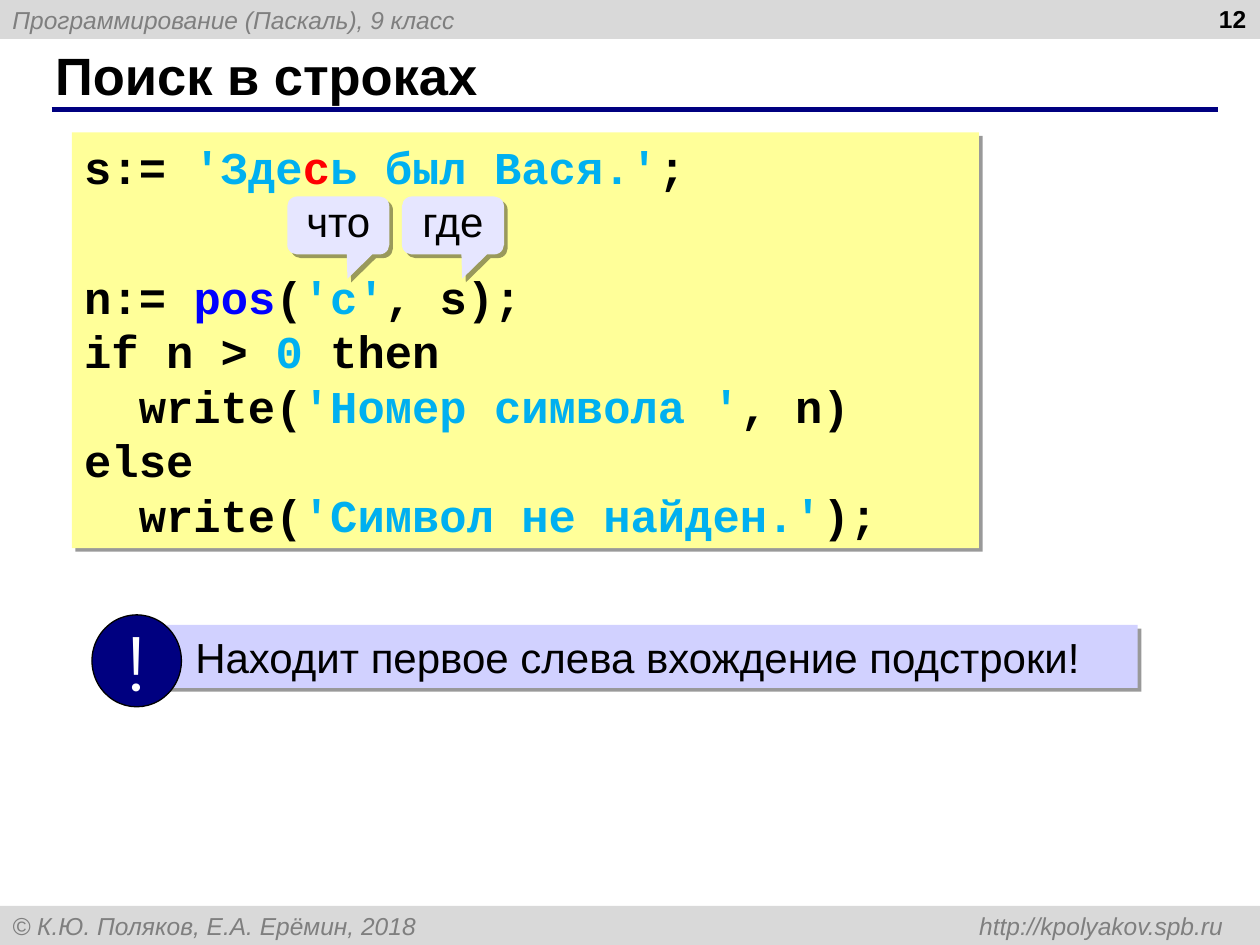
"""Build the slide on searching in Pascal strings."""
from dataclasses import dataclass

from lxml.etree import SubElement
from pptx import Presentation
from pptx.dml.color import RGBColor
from pptx.enum.shapes import MSO_CONNECTOR, MSO_SHAPE as Preset
from pptx.enum.text import MSO_ANCHOR as Anchor, PP_ALIGN as Align
from pptx.oxml.ns import qn
from pptx.util import Inches, Pt

COLUMNS, ROWS = 100, 75
WIDTH, HEIGHT = Inches(10), Inches(7.5)
BLACK, WHITE, NAVY = "000000", "FFFFFF", "000080"
BAR, GREY, YELLOW = "D9D9D9", "7F7F7F", "FFFF99"
LILAC, LAVENDER = "E6E6FF", "D1D1FF"
CYAN, RED, BLUE = "00B0F0", "FF0000", "0000FF"
CODE_PITCH = 31.1
CALLOUT_LEFT, CALLOUT_STEP = 22.8, 9.1

Line = tuple[tuple[str, str], ...]
CODE: tuple[Line, ...] = (
    (("s:= ", BLACK), ("'Зде", CYAN), ("с", RED), ("ь был Вася.'", CYAN), (";", BLACK)),
    (("n:= ", BLACK), ("pos", BLUE), ("(", BLACK), ("'с'", CYAN), (", s);", BLACK)),
    (("if n > ", BLACK), ("0", CYAN), (" then", BLACK)),
    (("  write(", BLACK), ("'Номер символа '", CYAN), (", n)", BLACK)),
    (("else", BLACK),),
    (("  write(", BLACK), ("'Символ не найден.'", CYAN), (");", BLACK)),
)


@dataclass(frozen=True)
class Style:
    """Look of the text in one block."""
    size: float
    font: str = "Arial"
    bold: bool = False
    italic: bool = False
    align: Align = Align.LEFT
    anchor: Anchor = Anchor.MIDDLE
    spacing: float | Pt | None = None
    wrap: bool = True


@dataclass(frozen=True)
class Block:
    """A shape placed on the grid, with its lines of coloured text."""
    left: float
    top: float
    width: float
    height: float
    lines: tuple[Line, ...]
    style: Style
    preset: Preset | None = Preset.RECTANGLE
    fill: str | None = None
    outline: str | None = None
    shadow: bool = False
    adjustments: tuple[float, ...] = ()


def x(columns: float) -> int:
    """Convert grid columns to a length."""
    return round(WIDTH * columns / COLUMNS)


def y(rows: float) -> int:
    """Convert grid rows to a length."""
    return round(HEIGHT * rows / ROWS)


def color(value: str) -> RGBColor:
    """Turn a hex string into a colour."""
    return RGBColor.from_string(value)


def one(text: str, text_color: str = BLACK) -> tuple[Line, ...]:
    """Wrap a single plain line."""
    return (((text, text_color),),)


def add_shadow(shape) -> None:
    """Give a shape a hard diagonal shadow."""
    effects = shape._element.spPr.find(qn("a:effectLst"))
    outer = SubElement(effects, qn("a:outerShdw"), blurRad="0", dist=str(Pt(3)),
                       dir="2700000", algn="ctr", rotWithShape="0")
    tint = SubElement(outer, qn("a:srgbClr"), val=BLACK)
    SubElement(tint, qn("a:alpha"), val="40000")


def add_right_tab(paragraph, position: int) -> None:
    """Add a right-aligned tab stop."""
    tabs = SubElement(paragraph._p.get_or_add_pPr(), qn("a:tabLst"))
    SubElement(tabs, qn("a:tab"), pos=str(position), algn="r")


def write(text_frame, lines: tuple[Line, ...], style: Style) -> None:
    """Write coloured lines into a text frame."""
    text_frame.word_wrap = style.wrap
    text_frame.vertical_anchor = style.anchor
    for index, line in enumerate(lines):
        paragraph = text_frame.add_paragraph() if index else text_frame.paragraphs[0]
        paragraph.alignment = style.align
        paragraph.line_spacing = style.spacing
        for text, text_color in line:
            run = paragraph.add_run()
            run.text = text
            run.font.name, run.font.size = style.font, Pt(style.size)
            run.font.bold, run.font.italic = style.bold, style.italic
            run.font.color.rgb = color(text_color)


def draw(slide, block: Block):
    """Draw one block and return its shape."""
    place = x(block.left), y(block.top), x(block.width), y(block.height)
    if block.preset is None:
        shape = slide.shapes.add_textbox(*place)
    else:
        shape = slide.shapes.add_shape(block.preset, *place)
        shape.shadow.inherit = False
        shape.fill.solid()
        shape.fill.fore_color.rgb = color(block.fill)
        if block.outline:
            shape.line.color.rgb = color(block.outline)
            shape.line.width = Pt(0.75)
        else:
            shape.line.fill.background()
        for index, value in enumerate(block.adjustments):
            shape.adjustments[index] = value
        if block.shadow:
            add_shadow(shape)
    write(shape.text_frame, block.lines, block.style)
    return shape


def draw_rule(slide, left: float, right: float, row: float) -> None:
    """Draw the line under the title."""
    rule = slide.shapes.add_connector(MSO_CONNECTOR.STRAIGHT, x(left), y(row), x(right), y(row))
    rule.line.color.rgb = color(NAVY)
    rule.line.width = Pt(3)
    SubElement(rule._element.spPr, qn("a:effectLst"))


def main() -> None:
    """Build and save the slide."""
    presentation = Presentation()
    presentation.slide_width, presentation.slide_height = WIDTH, HEIGHT
    slide = presentation.slides.add_slide(presentation.slide_layouts[6])

    bar_style = Style(14, italic=True)
    draw(slide, Block(0, 0, COLUMNS, 3.1, one("Программирование (Паскаль), 9 класс", GREY),
                      bar_style, fill=BAR))
    footer = draw(slide, Block(
        0, ROWS - 3.1, COLUMNS, 3.1,
        one("© К.Ю. Поляков, Е.А. Ерёмин, 2018\thttp://kpolyakov.spb.ru", GREY),
        bar_style, fill=BAR))
    add_right_tab(footer.text_frame.paragraphs[0], x(96.1))
    draw_rule(slide, 4.1, 96.7, 8.7)
    draw(slide, Block(3.4, 3.3, 91.6, 5.2, one("Поиск в строках"),
                      Style(30, bold=True), preset=None))
    draw(slide, Block(76.6, -0.2, 23.3, 5.2, one("12"),
                      Style(14, bold=True, align=Align.RIGHT, anchor=Anchor.TOP), preset=None))

    code = draw(slide, Block(5.7, 10.5, 72, 33, CODE,
                             Style(26, "Courier New", bold=True, spacing=Pt(CODE_PITCH)),
                             fill=YELLOW, shadow=True))
    code.text_frame.paragraphs[1].space_before = Pt(CODE_PITCH + 12)

    callout_style = Style(24, align=Align.CENTER, anchor=Anchor.TOP, spacing=0.8)
    for index, word in enumerate(("что", "где")):
        draw(slide, Block(CALLOUT_LEFT + index * CALLOUT_STEP, 15.6, 8.1, 4.6, one(word),
                          callout_style, Preset.ROUNDED_RECTANGULAR_CALLOUT, LILAC,
                          shadow=True, adjustments=(0.09, 0.92, 0.17)))

    note = draw(slide, Block(12.7, 49.6, 77.6, 5,
                             one("Находит первое слева вхождение подстроки!"),
                             Style(24, anchor=Anchor.TOP), fill=LAVENDER, shadow=True))
    note.text_frame.margin_left = x(2.8)
    draw(slide, Block(7.3, 48.8, 7.1, 7.3, one("!", WHITE),
                      Style(44, "Montserrat", align=Align.CENTER, wrap=False),
                      Preset.OVAL, NAVY, BLACK))
    presentation.save("out.pptx")


if __name__ == "__main__":
    main()
